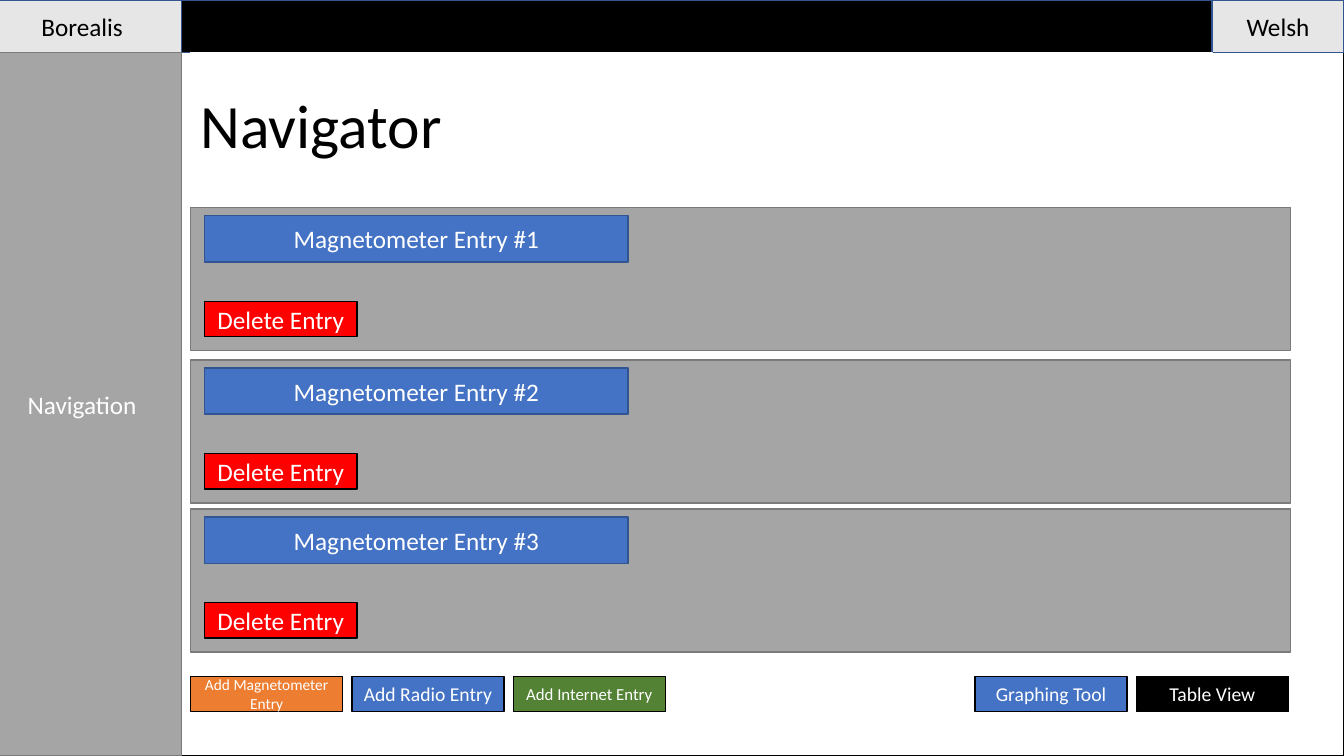
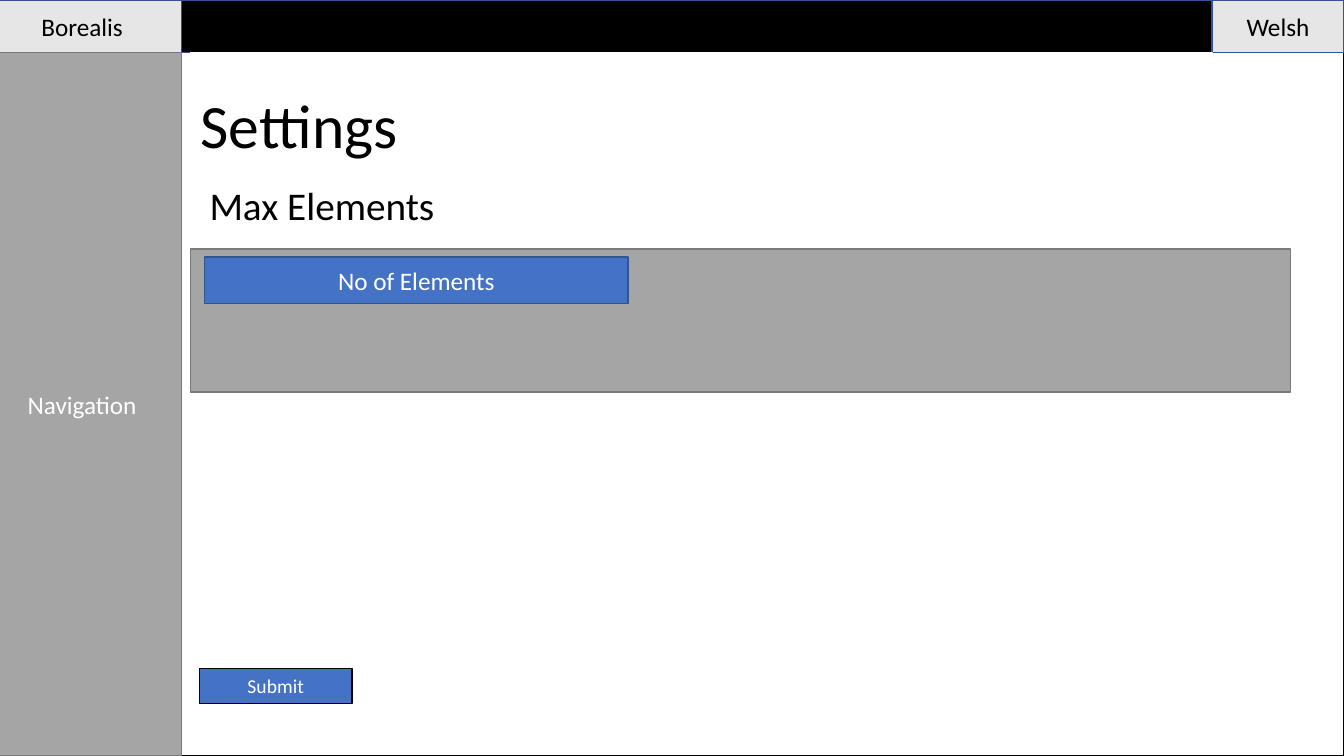
from pptx import Presentation
from pptx.dml.color import RGBColor
from pptx.enum.shapes import MSO_SHAPE
from pptx.enum.text import MSO_ANCHOR, MSO_AUTO_SIZE, PP_ALIGN
from pptx.util import Inches, Pt

RECTANGLE = MSO_SHAPE.RECTANGLE
MIDDLE = MSO_ANCHOR.MIDDLE
NO_FIT = MSO_AUTO_SIZE.NONE
LEFT, CENTER = PP_ALIGN.LEFT, PP_ALIGN.CENTER


class Theme:
    font = "Calibri"
    white = RGBColor.from_string("FFFFFF")
    black = RGBColor.from_string("000000")
    light = RGBColor.from_string("E7E6E6")
    gray = RGBColor.from_string("A5A5A5")
    gray_edge = RGBColor.from_string("7A7A7A")
    blue = RGBColor.from_string("4472C4")
    blue_edge = RGBColor.from_string("325491")
    red = RGBColor.from_string("FF0000")
    orange = RGBColor.from_string("ED7D31")
    green = RGBColor.from_string("548235")
    title, heading, body, button, small, tiny = 44, 28, 18, 14, 12, 11


FRAME_LEFT, FRAME_WIDTH = -0.17, 13.5
SIDE_WIDTH, BAR_HEIGHT, PAGE_HEIGHT = 1.97, 0.52, 7.5
CONTENT_LEFT, FIELD_LEFT = 1.89, 2.03
PANEL_SIZE = (10.91, 1.42)
FIELD_SIZE = (4.2, 0.46)
BUTTON_SIZE = (1.51, 0.35)
BUTTON_STEP, BUTTON_TOP = 1.6, 6.71
FIELD_DROP, DELETE_DROP = 0.08, 0.93


def add_box(page, at, text="", fill=Theme.white, line=Theme.black, size=Theme.body,
            color=Theme.white, align=CENTER, holder=None):
    left, top, width, height = map(Inches, at)
    box = holder or page.shapes.add_shape(RECTANGLE, left, top, width, height)
    box.left, box.top, box.width, box.height = left, top, width, height
    box.shadow.inherit = False
    box.fill.solid()
    box.fill.fore_color.rgb = fill
    box.line.color.rgb = line
    box.line.width = Pt(1)
    if text:
        frame = box.text_frame
        frame.word_wrap = True
        frame.auto_size = NO_FIT
        frame.vertical_anchor = MIDDLE
        para = frame.paragraphs[0]
        para.alignment = align
        span = para.add_run()
        span.text = text
        span.font.name = Theme.font
        span.font.size = Pt(size)
        span.font.color.rgb = color


def add_page(title):
    page = deck.slides.add_slide(deck.slide_layouts[5])
    add_box(page, (FRAME_LEFT, 0, FRAME_WIDTH, PAGE_HEIGHT))
    add_box(page, (FRAME_LEFT, 0, FRAME_WIDTH, BAR_HEIGHT), fill=Theme.black, line=Theme.blue_edge)
    for text, left, width in (("Borealis", FRAME_LEFT, SIDE_WIDTH), ("Welsh", 12.02, 1.31)):
        add_box(page, (left, 0, width, BAR_HEIGHT), text,
                fill=Theme.light, line=Theme.blue_edge, color=Theme.black)
    add_box(page, (FRAME_LEFT, BAR_HEIGHT, SIDE_WIDTH, PAGE_HEIGHT - BAR_HEIGHT), "Navigation",
            fill=Theme.gray, line=Theme.gray_edge)
    holder = page.shapes.title
    holder.element.getparent().append(holder.element)
    add_box(page, (CONTENT_LEFT, BAR_HEIGHT, 10.13, 1.42), title, line=Theme.white,
            size=Theme.title, color=Theme.black, align=LEFT, holder=holder)
    return page


deck = Presentation()
deck.slide_width, deck.slide_height = Inches(13.33), Inches(PAGE_HEIGHT)

navigator = add_page("Navigator")
settings = add_page("Settings")

add_box(settings, (1.98, 1.79, 10.13, 0.48), "Max Elements", line=Theme.white,
        size=Theme.heading, color=Theme.black, align=LEFT)

panels = (
    (navigator, 2.06, "Magnetometer Entry #1", True),
    (navigator, 3.57, "Magnetometer Entry #2", True),
    (navigator, 5.05, "Magnetometer Entry #3", True),
    (settings, 2.47, "No of Elements", False),
)
for page, top, label, deletable in panels:
    add_box(page, (CONTENT_LEFT, top, *PANEL_SIZE), fill=Theme.gray, line=Theme.gray_edge)
    add_box(page, (FIELD_LEFT, top + FIELD_DROP, *FIELD_SIZE), label,
            fill=Theme.blue, line=Theme.blue_edge)
    if deletable:
        add_box(page, (FIELD_LEFT, top + DELETE_DROP, *BUTTON_SIZE), "Delete Entry", fill=Theme.red)

button_groups = (
    (navigator, CONTENT_LEFT, BUTTON_TOP, (
        ("Add Magnetometer Entry", Theme.orange, Theme.tiny),
        ("Add Radio Entry", Theme.blue, Theme.button),
        ("Add Internet Entry", Theme.green, Theme.small),
    )),
    (navigator, 9.67, BUTTON_TOP, (
        ("Graphing Tool", Theme.blue, Theme.button),
        ("Table View", Theme.black, Theme.button),
    )),
    (settings, 1.98, 6.63, (("Submit", Theme.blue, Theme.button),)),
)
for page, left, top, buttons in button_groups:
    for column, (label, fill, size) in enumerate(buttons):
        add_box(page, (left + column * BUTTON_STEP, top, *BUTTON_SIZE), label, fill=fill, size=size)

deck.save("out.pptx")
